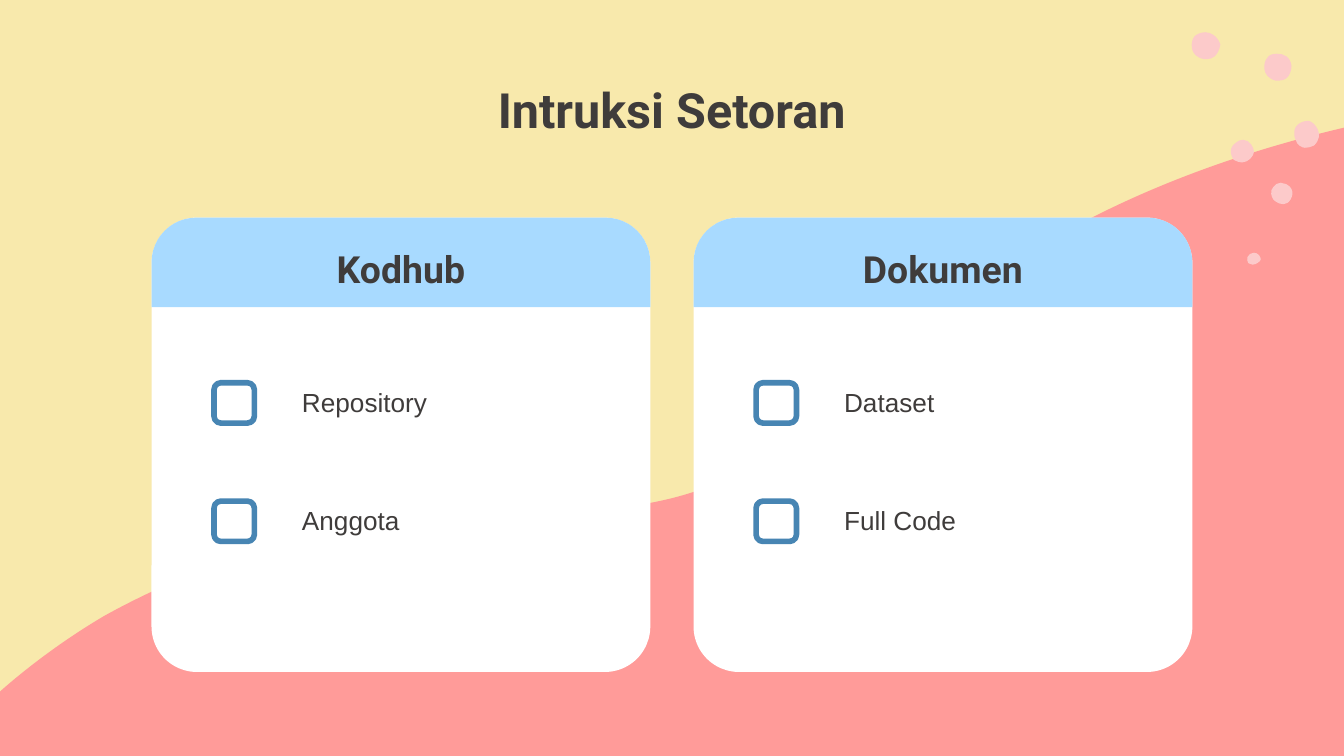
from pptx import Presentation
from pptx import util as u
from pptx.dml.color import RGBColor
from pptx.enum import shapes, text
from pptx.oxml import ns, xmlchemy

# Content
TITLE = "Intruksi Setoran"
CARDS = [
    ("Kodhub", ["Repository", "Anggota"]),
    ("Dokumen", ["Dataset", "Full Code"]),
]

THEME = {
    "sand": "F8E9AC", "coral": "FF9B99", "pink": "FCCACA", "white": "FFFFFF",
    "sky": "A8DAFF", "blue": "4785B3", "ink": "3F3C3B",
    "title": ("Roboto", 26, True),
    "heading": ("Roboto", 20, True),
    "item": ("Arial", 14, False),
}

# Bezier outlines in points: a start, then two handles and an end per curve
HILL = [
    (720, 68.4), (634.3, 88.6), (558.7, 122.4), (496.1, 175),
    (465.8, 199.4), (437.8, 227.5), (403.9, 248.4),
    (370.1, 270), (330.5, 273.6), (290.9, 274.3),
    (249.8, 275), (208.8, 277.9), (168.5, 287.3),
    (129.6, 295.9), (91.4, 310.3), (56.2, 329.8),
    (35.3, 342), (15.1, 357.1), (0, 370.5),
]
HILL_CORNERS = [(0, 405), (720, 405)]
DOTS = [
    [(686.2, 97.9), (682.6, 97.9), (681.1, 102.2), (681.1, 102.2),
     (680.4, 107.3), (684.7, 109.4), (687.6, 109.4),
     (688.3, 109.4), (689, 108.7), (689.8, 108.7),
     (691.9, 107.3), (694.8, 101.5), (689, 98.6),
     (687.6, 98.6), (686.9, 97.9), (686.2, 97.9)],
    [(700.6, 64.8), (697, 64.8), (691.2, 67.7), (694.1, 74.9),
     (694.8, 77.8), (697.7, 79.2), (699.1, 79.2),
     (702, 79.2), (704.2, 77.8), (704.2, 77.8),
     (709.9, 72), (704.2, 65.5), (701.3, 64.8),
     (701.3, 64.8), (700.6, 64.8), (700.6, 64.8)],
    [(666, 74.9), (664.6, 74.9), (663.1, 75.6), (662.4, 76.3),
     (656.6, 79.9), (661, 85.7), (661, 85.7),
     (662.4, 86.4), (663.8, 87.1), (665.3, 87.1),
     (668.9, 87.1), (671.8, 83.5), (671.8, 81.4),
     (671.8, 79.2), (669.6, 74.9), (666, 74.9)],
    [(671.8, 135.4), (671, 135.4), (670.3, 135.4), (669.6, 136.1),
     (666.7, 138.2), (668.9, 141.1), (668.9, 141.1),
     (669.6, 141.8), (670.3, 141.8), (671, 141.8),
     (673.2, 141.8), (675.4, 139.7), (675.4, 139),
     (675.4, 137.5), (673.9, 135.4), (671.8, 135.4)],
    [(684, 28.8), (681.8, 28.8), (679.7, 29.5), (679, 31),
     (676.8, 33.1), (675.4, 41), (683.3, 43.2),
     (684, 43.2), (684.7, 43.2), (685.4, 43.2),
     (691.9, 43.2), (691.9, 35.3), (691.9, 35.3),
     (691.2, 30.2), (687.6, 28.8), (684, 28.8)],
    [(645.8, 17.3), (643, 17.3), (640.8, 18.7), (640.1, 19.4),
     (637.9, 21.6), (636.5, 30.2), (645.1, 31.7),
     (645.8, 31.7), (645.8, 31.7), (646.6, 31.7),
     (653, 31.7), (653.8, 23.8), (653.8, 23.8),
     (652.3, 19.4), (648.7, 17.3), (645.8, 17.3)],
]

# Layout in points
CARD_LEFT, CARD_TOP, CARD_WIDTH, CARD_HEIGHT = 81.2, 116.6, 267.2, 243.4
CARD_STEP, HEADER_HEIGHT = 290.4, 48
CHECK_INDENT, CHECK_SIZE = 33.5, 21.6
LABEL_INDENT, LABEL_WIDTH, LABEL_HEIGHT = 73.5, 162, 32.4
FIRST_ROW_MIDDLE, ROW_STEP = 215.9, 63.4


def color(name):
    return RGBColor.from_string(THEME[name])


def style(shape, fill=None, line=None):
    shape.shadow.inherit = False
    if fill:
        shape.fill.solid()
        shape.fill.fore_color.rgb = color(fill)
    else:
        shape.fill.background()
    if line:
        shape.line.color.rgb = color(line)
        shape.line.width = u.Pt(3)
    else:
        shape.line.fill.background()


def add_shape(page, kind, bounds, adjustments, **look):
    shape = page.shapes.add_shape(kind, *map(u.Pt, bounds))
    for index, value in enumerate(adjustments):
        shape.adjustments[index] = value
    style(shape, **look)
    return shape


def add_curved(page, outline, fill, corners=()):
    points = [(u.Pt(x), u.Pt(y)) for x, y in [*outline, *corners]]
    builder = page.shapes.build_freeform(*points[0])
    builder.add_line_segments(points[1:], close=True)
    shape = builder.convert_to_shape()
    style(shape, fill=fill)

    # Each three line segments of the outline become one Bezier curve
    segments = list(shape._element.iter(ns.qn("a:lnTo")))[:len(outline) - 1]
    for first in range(0, len(segments), 3):
        curve = xmlchemy.OxmlElement("a:cubicBezTo")
        segments[first].addprevious(curve)
        for segment in segments[first:first + 3]:
            curve.append(segment[0])
            segment.getparent().remove(segment)


def write(box, words, role, align, anchor):
    frame = box.text_frame
    frame.text = words
    frame.word_wrap = True
    frame.auto_size = text.MSO_AUTO_SIZE.NONE
    frame.vertical_anchor = anchor
    frame.margin_left = frame.margin_right = u.Pt(7.2)
    frame.margin_top = frame.margin_bottom = u.Pt(7.2)
    para = frame.paragraphs[0]
    para.alignment = align
    font = para.runs[0].font
    font.name, size, font.bold = THEME[role]
    font.size = u.Pt(size)
    font.color.rgb = color("ink")
    return para


def add_card(page, left, heading, items):
    kinds, align, anchor = shapes.MSO_SHAPE, text.PP_ALIGN, text.MSO_ANCHOR
    add_shape(page, kinds.ROUNDED_RECTANGLE,
              (left, CARD_TOP, CARD_WIDTH, CARD_HEIGHT), [0.1], fill="white")
    for row, item in enumerate(items):
        middle = FIRST_ROW_MIDDLE + row * ROW_STEP
        add_shape(page, kinds.ROUNDED_RECTANGLE,
                  (left + CHECK_INDENT, middle - CHECK_SIZE / 2, CHECK_SIZE, CHECK_SIZE),
                  [0.17], line="blue")
        bounds = (left + LABEL_INDENT, middle - LABEL_HEIGHT / 2, LABEL_WIDTH, LABEL_HEIGHT)
        label = page.shapes.add_textbox(*map(u.Pt, bounds))
        para = write(label, item, "item", align.LEFT, anchor.TOP)
        para.space_after = u.Pt(16)
    header = add_shape(page, kinds.ROUND_2_SAME_RECTANGLE,
                       (left, CARD_TOP, CARD_WIDTH, HEADER_HEIGHT), [0.5, 0], fill="sky")
    write(header, heading, "heading", align.CENTER, anchor.MIDDLE)


def main():
    deck = Presentation()
    deck.slide_width, deck.slide_height = u.Pt(720), u.Pt(405)
    page = deck.slides.add_slide(deck.slide_layouts[5])

    # Background with hill and dots
    page.background.fill.solid()
    page.background.fill.fore_color.rgb = color("sand")
    add_curved(page, HILL, "coral", HILL_CORNERS)
    for dot in DOTS:
        add_curved(page, dot, "pink")

    # Title
    title = page.shapes.title
    title.left, title.top, title.width, title.height = map(u.Pt, (40.5, 44.6, 639, 36.8))
    write(title, TITLE, "title", text.PP_ALIGN.CENTER, text.MSO_ANCHOR.BOTTOM)

    # Checklist cards
    for column, (heading, items) in enumerate(CARDS):
        add_card(page, CARD_LEFT + column * CARD_STEP, heading, items)

    deck.save("out.pptx")


if __name__ == "__main__":
    main()
